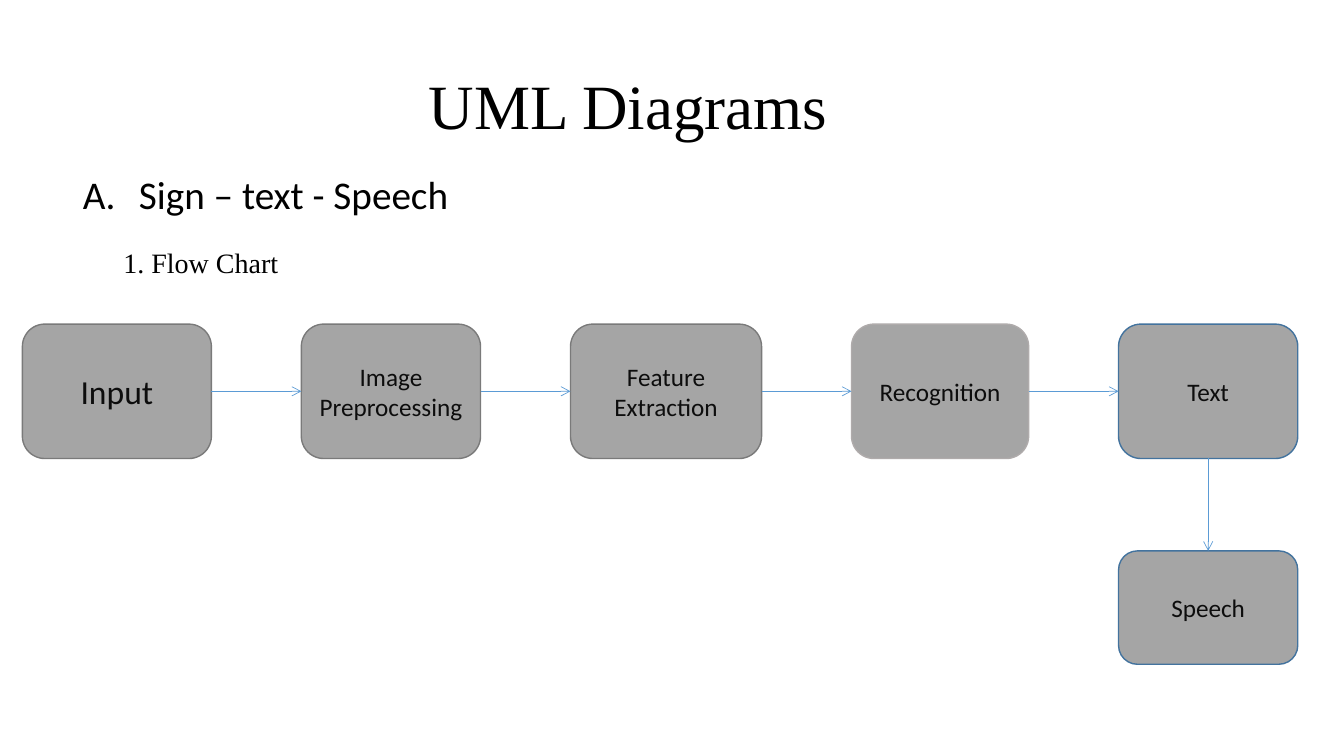
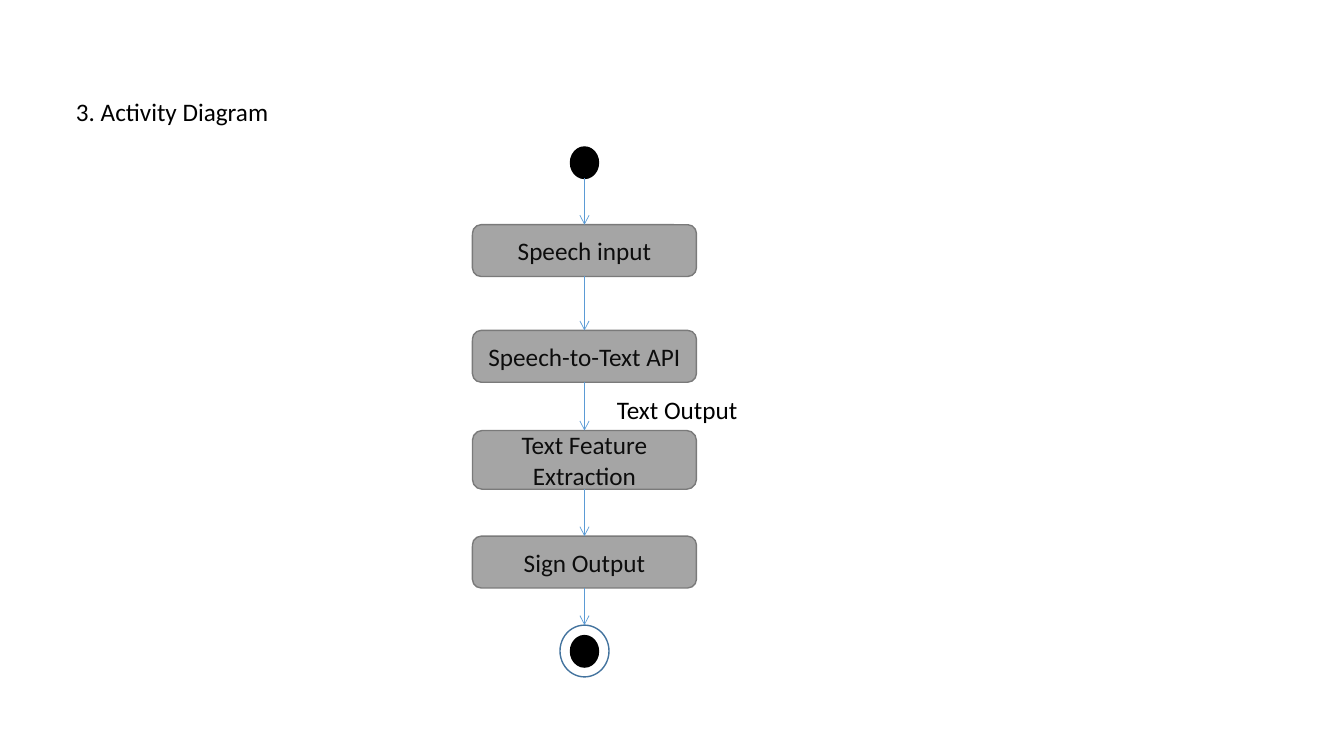
from itertools import pairwise

from lxml.etree import SubElement
from pptx import Presentation
from pptx.dml.color import RGBColor
from pptx.enum.shapes import MSO_CONNECTOR, MSO_SHAPE as SHAPE
from pptx.enum.text import MSO_ANCHOR as ANCHOR, MSO_AUTO_SIZE, PP_ALIGN as ALIGN
from pptx.oxml.ns import qn
from pptx.util import Pt

BLACK = RGBColor(0x00, 0x00, 0x00)
INK = RGBColor(0x0D, 0x0D, 0x0D)
GRAY = RGBColor(0xA5, 0xA5, 0xA5)
GRAY_EDGE = RGBColor(0x7A, 0x7A, 0x7A)
LIGHT_EDGE = RGBColor(0xAF, 0xAB, 0xAB)
BLUE_EDGE = RGBColor(0x43, 0x73, 0x9E)
ARROW_BLUE = RGBColor(0x5B, 0x9B, 0xD5)

SANS = "Calibri"
SERIF = "Times New Roman"
TOP, LEFT, BOTTOM, RIGHT = range(4)
TITLE_AND_CONTENT, TITLE_ONLY = 1, 5


def write(shape, text, font=SANS, size=18, color=BLACK, align=ALIGN.LEFT, anchor=ANCHOR.TOP):
    frame = shape.text_frame
    frame.text = text
    frame.word_wrap = True
    frame.auto_size = MSO_AUTO_SIZE.NONE
    frame.vertical_anchor = anchor
    paragraph = frame.paragraphs[0]
    paragraph.alignment = align
    paragraph.space_before = Pt(0)
    style = paragraph.runs[0].font
    style.name, style.size, style.color.rgb = font, Pt(size), color
    return paragraph


def place(shape, box):
    shape.left, shape.top, shape.width, shape.height = map(Pt, box)
    return shape


def add_label(slide, box, text, **style):
    return write(slide.shapes.add_textbox(*map(Pt, box)), text, **style)


def add_outline(slide, kind, box, fill, edge):
    """Add a preset shape; a fill of None leaves it hollow."""
    shape = slide.shapes.add_shape(kind, *map(Pt, box))
    shape.shadow.inherit = False
    if fill is None:
        shape.fill.background()
    else:
        shape.fill.solid()
        shape.fill.fore_color.rgb = fill
    shape.line.color.rgb = edge
    shape.line.width = Pt(1)
    return shape


def add_step(slide, box, text, edge=GRAY_EDGE, size=18):
    step = add_outline(slide, SHAPE.ROUNDED_RECTANGLE, box, GRAY, edge)
    write(step, text, size=size, color=INK, align=ALIGN.CENTER, anchor=ANCHOR.MIDDLE)
    return step


def add_arrow(slide, target, target_side, source=None, source_side=None, start=(0, 0)):
    """Join two shapes, or run from a start point when no source is given."""
    arrow = slide.shapes.add_connector(MSO_CONNECTOR.STRAIGHT, *map(Pt, start), *map(Pt, start))
    if source is not None:
        arrow.begin_connect(source, source_side)
    arrow.end_connect(target, target_side)
    arrow.line.color.rgb = ARROW_BLUE
    arrow.line.width = Pt(0.5)
    SubElement(arrow.line._get_or_add_ln(), qn("a:tailEnd"), type="arrow")
    SubElement(arrow._element.spPr, qn("a:effectLst"))


def number_with_letters(paragraph, indent):
    properties = paragraph._p.get_or_add_pPr()
    properties.set("marL", str(Pt(indent)))
    properties.set("indent", str(-Pt(indent)))
    SubElement(properties, qn("a:buFont"), typeface=SANS)
    SubElement(properties, qn("a:buAutoNum"), type="alphaUcPeriod")


def draw_flow_chart(slide, left, top):
    height, gap = 96, 64.25
    stages = [
        ("Input", 135, GRAY_EDGE, 24),
        ("Image Preprocessing", 128, GRAY_EDGE, 18),
        ("Feature Extraction", 136.5, GRAY_EDGE, 18),
        ("Recognition", 126.5, LIGHT_EDGE, 18),
        ("Text", 128, BLUE_EDGE, 18),
    ]
    steps = []
    for text, width, edge, size in stages:
        steps.append(add_step(slide, (left, top, width, height), text, edge, size))
        left += width + gap
    for source, target in pairwise(steps):
        add_arrow(slide, target, LEFT, source, RIGHT)

    speech_box = (left - width - gap, top + 162, width, 81)
    speech = add_step(slide, speech_box, "Speech", BLUE_EDGE)
    add_arrow(slide, speech, TOP, steps[-1], BOTTOM)


def draw_activity(slide, center, top):
    """Stack the activity's steps on the vertical axis at center."""
    def centered(offset, width, height):
        return center - width / 2, top + offset, width, height

    def add_dot(offset):
        add_outline(slide, SHAPE.FLOWCHART_CONNECTOR, centered(offset, 20, 22.5), BLACK, BLACK)

    add_dot(0)
    activities = [
        ("Speech input", 55.5, 37),
        ("Speech-to-Text API", 131, 37),
        ("Text Feature Extraction", 202.5, 42),
        ("Sign Output", 278, 37),
    ]
    steps = [add_step(slide, centered(offset, 160, height), text)
             for text, offset, height in activities]
    add_dot(349)
    ring = add_outline(slide, SHAPE.OVAL, centered(341.5, 35, 37), None, BLUE_EDGE)

    add_arrow(slide, steps[0], TOP, start=(center, top + 22.5))
    for source, target in pairwise([*steps, ring]):
        add_arrow(slide, target, TOP, source, BOTTOM)
    add_label(slide, (center + 16, top + 173, 127, 29), "Text Output")


def build_flow_slide(prs):
    slide = prs.slides.add_slide(prs.slide_layouts[TITLE_AND_CONTENT])
    title = place(slide.shapes.title, (251, 44, 395, 62))
    write(title, "UML Diagrams", font=SERIF, size=45, align=ALIGN.CENTER)
    topics = place(slide.placeholders[1], (52, 118, 292, 41))
    number_with_letters(write(topics, "Sign – text - Speech", size=28), indent=40)
    add_label(slide, (81, 172, 165, 32), "1. Flow Chart", font=SERIF, size=20)
    draw_flow_chart(slide, left=16, top=231.5)


def build_activity_slide(prs):
    slide = prs.slides.add_slide(prs.slide_layouts[TITLE_ONLY])
    write(place(slide.shapes.title, (47, 65, 212, 29)), "3. Activity Diagram")
    draw_activity(slide, center=417.5, top=105)


def main():
    prs = Presentation()
    prs.slide_width, prs.slide_height = Pt(960), Pt(540)
    build_flow_slide(prs)
    build_activity_slide(prs)
    prs.save("out.pptx")


if __name__ == "__main__":
    main()
